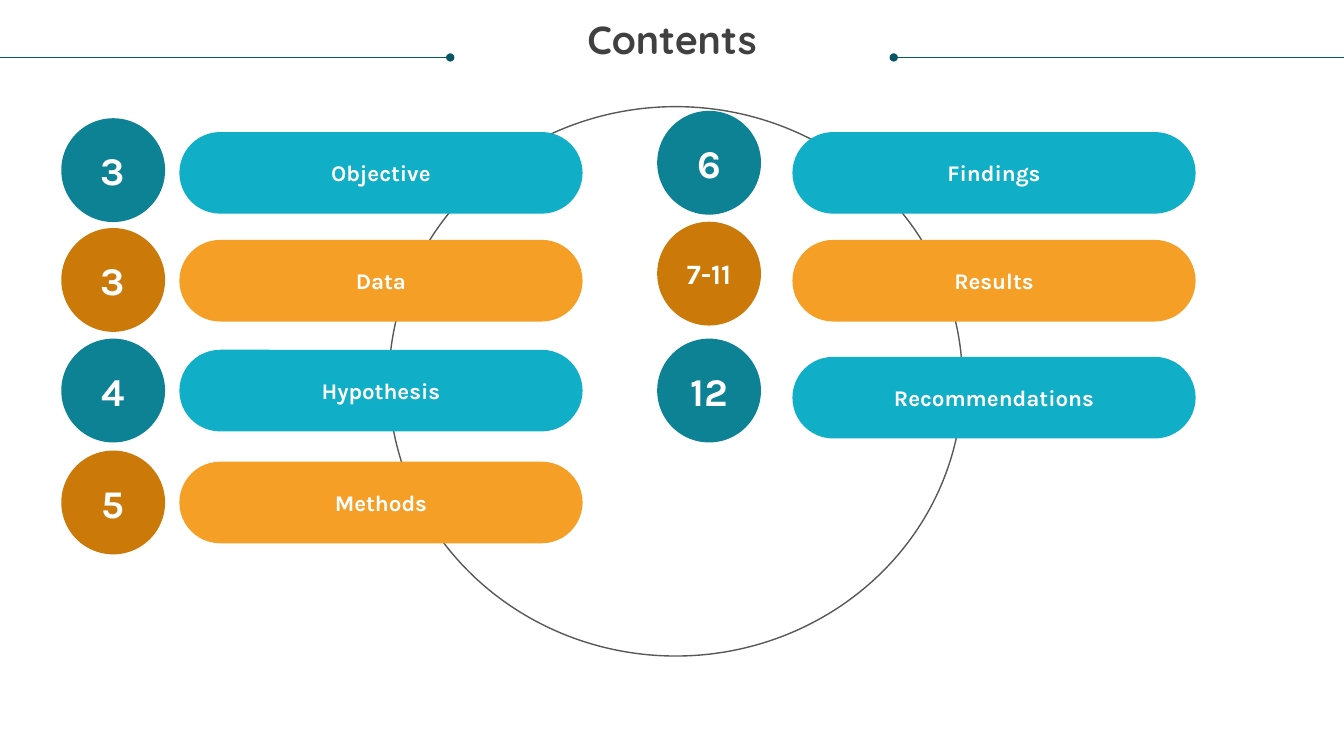
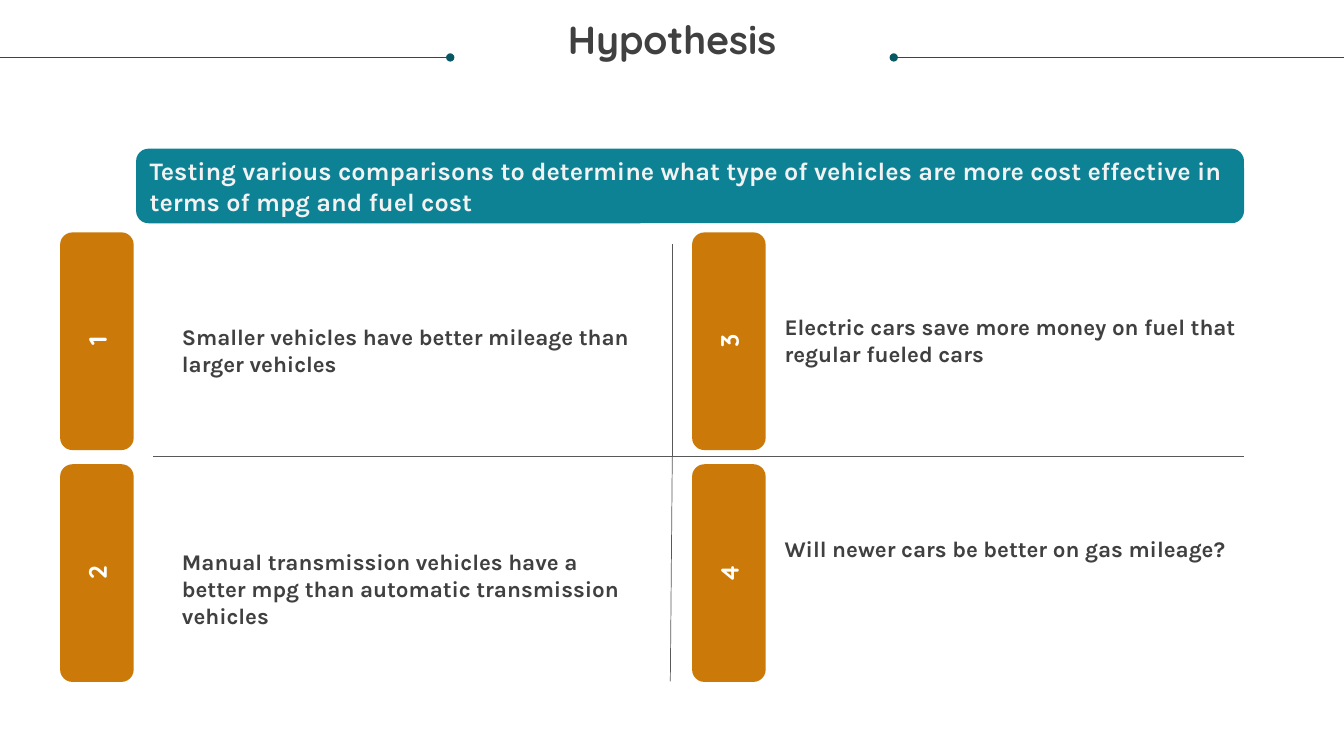
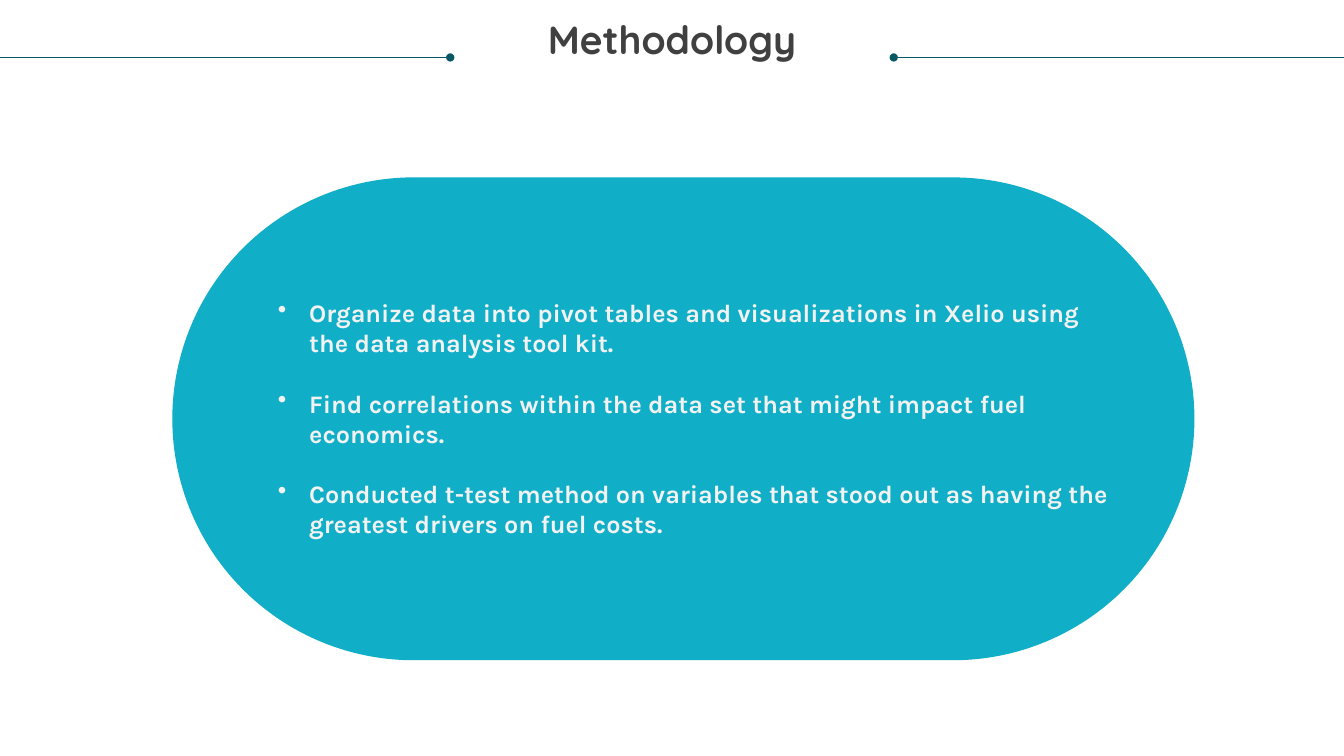
from dataclasses import dataclass

import lxml.etree
import pptx
import pptx.dml.color
import pptx.enum.shapes
import pptx.enum.text
import pptx.oxml.ns
import pptx.util

SHAPE = pptx.enum.shapes.MSO_SHAPE
ALIGN = pptx.enum.text.PP_ALIGN
ANCHOR = pptx.enum.text.MSO_ANCHOR
COLS, ROWS = 160, 90
CELL = pptx.util.Inches(1) // 12


@dataclass(frozen=True)
class Theme:
    teal: str = "0D8295"
    deep_teal: str = "085764"
    cyan: str = "11AEC7"
    amber: str = "F59F26"
    ochre: str = "CB7A09"
    ink: str = "404040"
    rule: str = "585858"
    white: str = "FFFFFF"
    pale: str = "F2F2F2"
    head_font: str = "Quicksand"
    body_font: str = "Karla"
    title: int = 28
    badge: int = 28
    small_badge: int = 20
    lead: int = 18
    body: int = 16
    hair: float = 0.5


T = Theme()


@dataclass(frozen=True)
class Box:
    """An area measured in grid columns and rows."""
    x: float
    y: float
    w: float
    h: float

    def inner(self, dx, dy, w, h):
        return Box(self.x + dx, self.y + dy, w, h)

    def turned(self):
        """The box that covers this one after a quarter turn."""
        return self.inner((self.w - self.h) / 2, (self.h - self.w) / 2, self.h, self.w)

    def emu(self):
        return [round(v * CELL) for v in (self.x, self.y, self.w, self.h)]


PAGE = Box(0, 0, COLS, ROWS)


def rgb(color):
    return pptx.dml.color.RGBColor.from_string(color)


def add_child(parent, tag, **attrs):
    return lxml.etree.SubElement(parent, pptx.oxml.ns.qn(tag), attrs)


def write(sp, *texts, size=T.body, font=T.body_font, color=T.white, align=ALIGN.LEFT,
          anchor=ANCHOR.MIDDLE, inset=True, bullet=None, gap=0, spacing=None):
    tf = sp.text_frame
    tf.word_wrap = True
    tf.vertical_anchor = anchor
    if not inset:
        tf.margin_left = tf.margin_right = tf.margin_top = tf.margin_bottom = 0
    for i, text in enumerate(texts):
        p = tf.add_paragraph() if i else tf.paragraphs[0]
        p.alignment = align
        if spacing:
            p.line_spacing = spacing
        if i and gap:
            p.space_before = pptx.util.Pt(gap)
        if bullet:
            indent = pptx.util.Inches(0.31)
            pPr = p._p.get_or_add_pPr()
            pPr.set("marL", str(indent))
            pPr.set("indent", str(-indent))
            add_child(pPr, "a:buChar", char=bullet)
        r = p.add_run()
        r.text = text
        r.font.size = pptx.util.Pt(size)
        r.font.name = font
        r.font.bold = True
        r.font.color.rgb = rgb(color)


def add_text(s, box, *texts, **fmt):
    tb = s.shapes.add_textbox(*box.emu())
    write(tb, *texts, **{"anchor": ANCHOR.TOP, **fmt})


def add_shape(s, kind, box, fill=None, line=None, round_by=None):
    sp = s.shapes.add_shape(kind, *box.emu())
    sp.shadow.inherit = False
    if round_by is not None:
        sp.adjustments[0] = round_by
    if fill:
        sp.fill.solid()
        sp.fill.fore_color.rgb = rgb(fill)
    else:
        sp.fill.background()
    if line:
        sp.line.color.rgb = rgb(line)
        sp.line.width = pptx.util.Pt(1)
    else:
        sp.line.fill.background()
    return sp


def add_rule(s, start, end, color=T.rule, dot=False):
    ends = [round(v * CELL) for v in (*start, *end)]
    cx = s.shapes.add_connector(pptx.enum.shapes.MSO_CONNECTOR.STRAIGHT, *ends)
    cx.line.color.rgb = rgb(color)
    cx.line.width = pptx.util.Pt(T.hair)
    spPr = cx._element.spPr
    if dot:
        add_child(spPr.find(pptx.oxml.ns.qn("a:ln")), "a:tailEnd", type="oval")
    add_child(spPr, "a:effectLst")


def titled_slide(prs, title):
    """Blank slide with a centred title between two dotted rules."""
    s = prs.slides.add_slide(prs.slide_layouts[6])
    y, reach = 6.84, 53.6
    for edge, tip in ((0, reach), (COLS, COLS - reach)):
        add_rule(s, (edge, y), (tip, y), T.deep_teal, dot=True)
    add_text(s, PAGE.inner(3, 2.5, COLS - 6, 8.8), title, size=T.title, font=T.head_font,
             color=T.ink, align=ALIGN.CENTER, inset=False, spacing=0.9)
    return s


def contents_column(s, box, pill_dx, entries):
    """Entries are (page, label, badge row, pill row), in alternating colours."""
    palette = ((T.teal, T.cyan), (T.ochre, T.amber))
    for i, (page, label, badge_y, pill_y) in enumerate(entries):
        dark, light = palette[i % 2]
        badge = add_shape(s, SHAPE.OVAL, box.inner(0, badge_y, 12.36, 12.36), dark)
        write(badge, page, align=ALIGN.CENTER,
              size=T.badge if len(page) < 3 else T.small_badge)
        pill = add_shape(s, SHAPE.ROUNDED_RECTANGLE, box.inner(pill_dx, pill_y, 48, 9.72),
                         light, round_by=0.5)
        write(pill, label, align=ALIGN.CENTER)


def contents_slide(prs):
    s = titled_slide(prs, "Contents")
    add_shape(s, SHAPE.OVAL, PAGE.inner(46.3, 12.7, 68.28, 65.4), line=T.rule)
    contents_column(s, Box(7.3, 13.2, 62, 54), 14.06, (
        ("3", "Objective", 0.88, 2.52),
        ("3", "Data", 13.95, 15.36),
        ("4", "Hypothesis", 27.12, 28.44),
        ("5", "Methods", 40.44, 41.76)))
    contents_column(s, Box(78.24, 13.2, 64, 40), 16.1, (
        ("6", "Findings", 0, 2.52),
        ("7-11", "Results", 13.2, 15.36),
        ("12", "Recommendations", 27.12, 29.28)))


def hypothesis_cell(s, box, number, text, dx, dy):
    """Upright numbered tab on the left of the box, statement at dx, dy."""
    tab = add_shape(s, SHAPE.ROUNDED_RECTANGLE, box.inner(0, 0, 8.76, box.h).turned(), T.ochre)
    tab.rotation = 270
    write(tab, str(number), size=T.lead, font=T.head_font, align=ALIGN.CENTER)
    add_text(s, box.inner(dx, dy, 54.6, 6.48), text, color=T.ink, inset=False)


def hypothesis_slide(prs):
    s = titled_slide(prs, "Hypothesis")
    banner = add_shape(s, SHAPE.ROUNDED_RECTANGLE, PAGE.inner(16.2, 17.7, 131.9, 8.88), T.teal)
    write(banner, "Testing various comparisons to determine what type of vehicles are more "
          "cost effective in terms of mpg and fuel cost", size=T.lead, color=T.pale)

    mid_x, mid_y = 80.04, 54.36
    add_rule(s, (18.24, mid_y), (148.08, mid_y))
    add_rule(s, (mid_x, 29.04), (mid_x, mid_y))
    add_rule(s, (mid_x, mid_y), (79.8, 81.12))

    cells = (
        ("Smaller vehicles have better mileage than larger vehicles", 14.5, 10.86),
        ("Manual transmission vehicles have a better mpg than automatic transmission vehicles",
         14.5, 10.02),
        ("Electric cars save more money on fuel that regular fueled cars", 11, 9.66),
        ("Will newer cars be better on gas mileage?", 11, 8.46))
    first = Box(7.16, 27.66, 70, 25.92)
    for i, (text, dx, dy) in enumerate(cells):
        col, row = divmod(i, 2)
        box = first.inner(col * 75.24, row * 27.6, first.w, first.h)
        hypothesis_cell(s, box, i + 1, text, dx, dy)


def methodology_slide(prs):
    s = titled_slide(prs, "Methodology")
    panel = PAGE.inner(20.52, 21.12, 121.68, 57.48)
    add_shape(s, SHAPE.ROUNDED_RECTANGLE, panel, T.cyan, round_by=0.5)
    add_text(s, panel.inner(11.4, 13.68, 101.28, 26.64),
             "Organize data into pivot tables and visualizations in Xelio using the data "
             "analysis tool kit.",
             "Find correlations within the data set that might impact fuel economics.",
             "Conducted t-test method on variables that stood out as having the greatest "
             "drivers on fuel costs.",
             size=T.lead, color=T.pale, bullet="•", gap=21.5)


def main():
    prs = pptx.Presentation()
    prs.slide_width, prs.slide_height = COLS * CELL, ROWS * CELL
    contents_slide(prs)
    hypothesis_slide(prs)
    methodology_slide(prs)
    prs.save("out.pptx")


if __name__ == "__main__":
    main()
